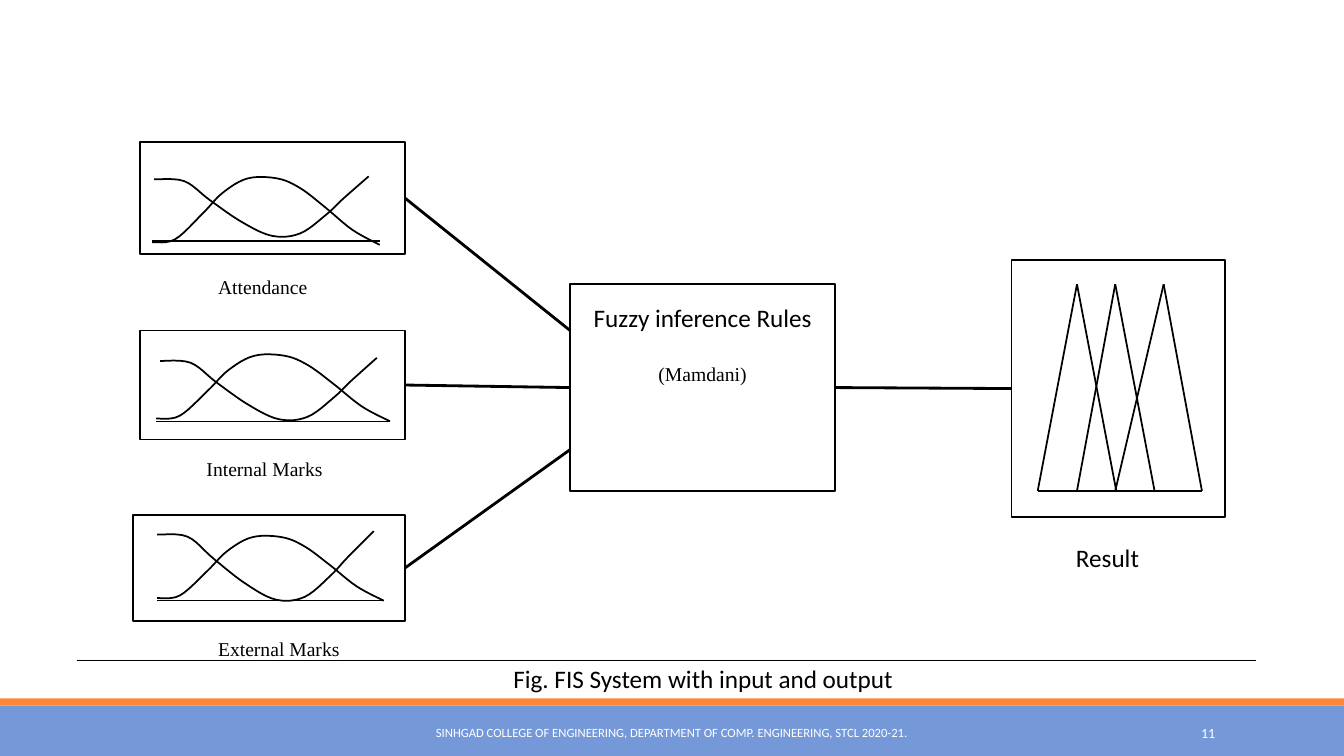
from dataclasses import dataclass

from lxml import etree
from pptx import Presentation
from pptx import util as u
from pptx.dml.color import RGBColor
from pptx.enum import shapes, text
from pptx.oxml import ns

COLUMNS, ROWS = 133.4, 75  # square grid cells, a tenth of an inch each
COLOURS = {"ink": "000000", "paper": "FFFFFF", "blue": "7598D9", "orange": "FE8637"}
SANS, SERIF = "Calibri", "Times New Roman"
LEFT, CENTRE, RIGHT = text.PP_ALIGN.LEFT, text.PP_ALIGN.CENTER, text.PP_ALIGN.RIGHT
LEFT_SIDE, RIGHT_SIDE = 1, 3
STEPS = 6  # straight pieces between two knots of a curve

Point = tuple[float, float]


@dataclass(frozen=True)
class Area:
    column: float
    row: float
    columns: float
    rows: float

    @property
    def right(self) -> float:
        return self.column + self.columns

    @property
    def middle(self) -> float:
        return self.row + self.rows / 2


@dataclass(frozen=True)
class Label:
    wording: str
    area: Area
    size: float = 18
    font: str = SANS
    align: text.PP_ALIGN = LEFT
    colour: str = "ink"


@dataclass(frozen=True)
class InputPanel:
    area: Area
    hump: Area
    valley: Area
    axis_row: float
    rules_row: float


RULES = Area(56.6, 28.2, 26.3, 20.5)
RESULT = Area(100.4, 25.8, 21.2, 25.5)
INPUTS = [
    InputPanel(Area(13.9, 14.1, 26.3, 11.1), Area(15.1, 17.5, 22.6, 6.8),
               Area(15.3, 17.5, 21.3, 5.9), 23.9, 32.8),
    InputPanel(Area(13.9, 32.8, 26.3, 10.8), Area(15.5, 35.1, 23.2, 6.7),
               Area(15.9, 35.5, 21.5, 6.1), 41.8, RULES.middle),
    InputPanel(Area(13.2, 51.1, 27, 10.5), Area(15.6, 53.1, 22.5, 6.5),
               Area(15.6, 52.7, 21.5, 6.8), 59.6, 44.6),
]
# Knots of the membership curves, as shares of a curve's area
HUMP = [(0, 0.96), (0.1, 0.92), (0.22, 0.55), (0.31, 0.24), (0.42, 0.03),
        (0.55, 0.03), (0.65, 0.17), (0.76, 0.45), (0.88, 0.78), (1, 1)]
VALLEY = [(0, 0.05), (0.14, 0.08), (0.26, 0.4), (0.41, 0.77), (0.55, 1),
          (0.68, 0.96), (0.8, 0.65), (0.88, 0.38), (1, 0)]
# Columns of each result triangle: left foot, peak, right foot
TRIANGLES = [(103, 106.9, 110.8), (106.9, 110.7, 114.6), (110.7, 115.5, 119.3)]
PEAK_ROW, FOOT_ROW = 28.2, 48.7
LABELS = [
    Label("Attendance", Area(21.65, 26.9, 18, 3), 14, SERIF),
    Label("Internal Marks", Area(20.5, 44.95, 18, 3), 14, SERIF),
    Label("External Marks", Area(21.65, 62.9, 18, 3), 14, SERIF),
    Label("Result", Area(106.8, 53.8, 12, 3)),
    Label("Fig. FIS System with input and output", Area(50.95, 65.8, 45, 3)),
    Label("SINHGAD COLLEGE OF ENGINEERING, DEPARTMENT OF COMP. ENGINEERING, STCL 2020-21.",
          Area(40.3, 70.7, 52.7, 4), 9, align=CENTRE, colour="paper"),
    Label("11", Area(108.3, 70.7, 13.3, 4), 10, align=RIGHT, colour="paper"),
]


def cells(count: float) -> int:
    """Turn a number of grid cells into a length."""
    return u.Inches(count / 10)


def place(area: Area) -> list[int]:
    return [cells(n) for n in (area.column, area.row, area.columns, area.rows)]


def colour(name: str) -> RGBColor:
    return RGBColor.from_string(COLOURS[name])


def draw_rectangle(page, area: Area, fill: str, outlined: bool = True):
    box = page.shapes.add_shape(shapes.MSO_SHAPE.RECTANGLE, *place(area))
    box.shadow.inherit = False
    box.fill.solid()
    box.fill.fore_color.rgb = colour(fill)
    if outlined:
        box.line.color.rgb = colour("ink")
        box.line.width = u.Pt(1.25)
    else:
        box.line.fill.background()
    return box


def draw_line(page, start: Point, end: Point, width: float = 1.25):
    ends = [cells(n) for n in (*start, *end)]
    line = page.shapes.add_connector(shapes.MSO_CONNECTOR.STRAIGHT, *ends)
    line.line.color.rgb = colour("ink")
    line.line.width = u.Pt(width)
    etree.SubElement(line._element.spPr, ns.qn("a:effectLst"))
    return line


def smooth(knots: list[Point]) -> list[Point]:
    """Join the knots by a Catmull-Rom spline."""
    padded = [knots[0], *knots, knots[-1]]
    track = [knots[0]]
    for four in zip(padded, padded[1:], padded[2:], padded[3:]):
        for step in range(1, STEPS + 1):
            t = step / STEPS
            x, y = (b + t / 2 * (c - a + t * (2 * a - 5 * b + 4 * c - d
                                              + t * (3 * b - a - 3 * c + d)))
                    for a, b, c, d in zip(*four))
            track.append((x, y))
    return track


def draw_curve(page, knots: list[Point], area: Area) -> None:
    track = [(cells(area.column + x * area.columns), cells(area.row + y * area.rows))
             for x, y in smooth(knots)]
    builder = page.shapes.build_freeform(*track[0])
    builder.add_line_segments(track[1:], close=False)
    curve = builder.convert_to_shape()
    curve.shadow.inherit = False
    curve.fill.background()
    curve.line.color.rgb = colour("ink")
    curve.line.width = u.Pt(1.25)


def add_span(para, wording: str, size: float, font: str, ink: str) -> None:
    span = para.add_run()
    span.text = wording
    span.font.size = u.Pt(size)
    span.font.name = font
    span.font.color.rgb = colour(ink)


def draw_label(page, label: Label) -> None:
    frame = page.shapes.add_textbox(*place(label.area)).text_frame
    frame.word_wrap = True
    frame.vertical_anchor = text.MSO_ANCHOR.MIDDLE
    frame.margin_left = frame.margin_top = frame.margin_bottom = 0
    frame.margin_right = cells(1) if label.align == RIGHT else 0
    para = frame.paragraphs[0]
    para.alignment = label.align
    add_span(para, label.wording, label.size, label.font, label.colour)


def draw_rules(page):
    box = draw_rectangle(page, RULES, "paper")
    frame = box.text_frame
    frame.word_wrap = True
    frame.vertical_anchor = text.MSO_ANCHOR.TOP
    frame.margin_top = cells(1.8)
    heading, method = frame.paragraphs[0], frame.add_paragraph()
    heading.alignment = method.alignment = CENTRE
    method.space_before = u.Pt(21)
    add_span(heading, "Fuzzy inference Rules", 18, SANS, "ink")
    add_span(method, "(Mamdani)", 14, SERIF, "ink")
    return box


def draw_input(page, panel: InputPanel, rules_box) -> None:
    box = draw_rectangle(page, panel.area, "paper")
    draw_line(page, (panel.hump.column, panel.axis_row), (panel.hump.right, panel.axis_row), 1)
    draw_curve(page, HUMP, panel.hump)
    draw_curve(page, VALLEY, panel.valley)
    start = (panel.area.right, panel.area.middle)
    link = draw_line(page, start, (RULES.column, panel.rules_row), 2)
    link.begin_connect(box, RIGHT_SIDE)
    if panel.rules_row == RULES.middle:
        link.end_connect(rules_box, LEFT_SIDE)


def draw_result(page, rules_box) -> None:
    box = draw_rectangle(page, RESULT, "paper")
    link = draw_line(page, (RULES.right, RULES.middle), (RESULT.column, RESULT.middle), 2)
    link.begin_connect(rules_box, RIGHT_SIDE)
    link.end_connect(box, LEFT_SIDE)
    draw_line(page, (TRIANGLES[0][0], FOOT_ROW), (TRIANGLES[-1][-1], FOOT_ROW))
    for left_foot, peak, right_foot in TRIANGLES:
        for foot in (left_foot, right_foot):
            draw_line(page, (peak, PEAK_ROW), (foot, FOOT_ROW))


def main() -> None:
    deck = Presentation()
    deck.slide_width, deck.slide_height = cells(COLUMNS), cells(ROWS)
    page = deck.slides.add_slide(deck.slide_layouts[6])
    draw_rectangle(page, Area(0, 70, COLUMNS, 5), "blue", outlined=False)
    draw_rectangle(page, Area(0, 69.3, COLUMNS, 0.7), "orange", outlined=False)
    rules_box = draw_rules(page)
    for panel in INPUTS:
        draw_input(page, panel, rules_box)
    draw_result(page, rules_box)
    draw_line(page, (7.6, 65.5), (124.7, 65.5), 1)
    for label in LABELS:
        draw_label(page, label)
    deck.save("out.pptx")


if __name__ == "__main__":
    main()
